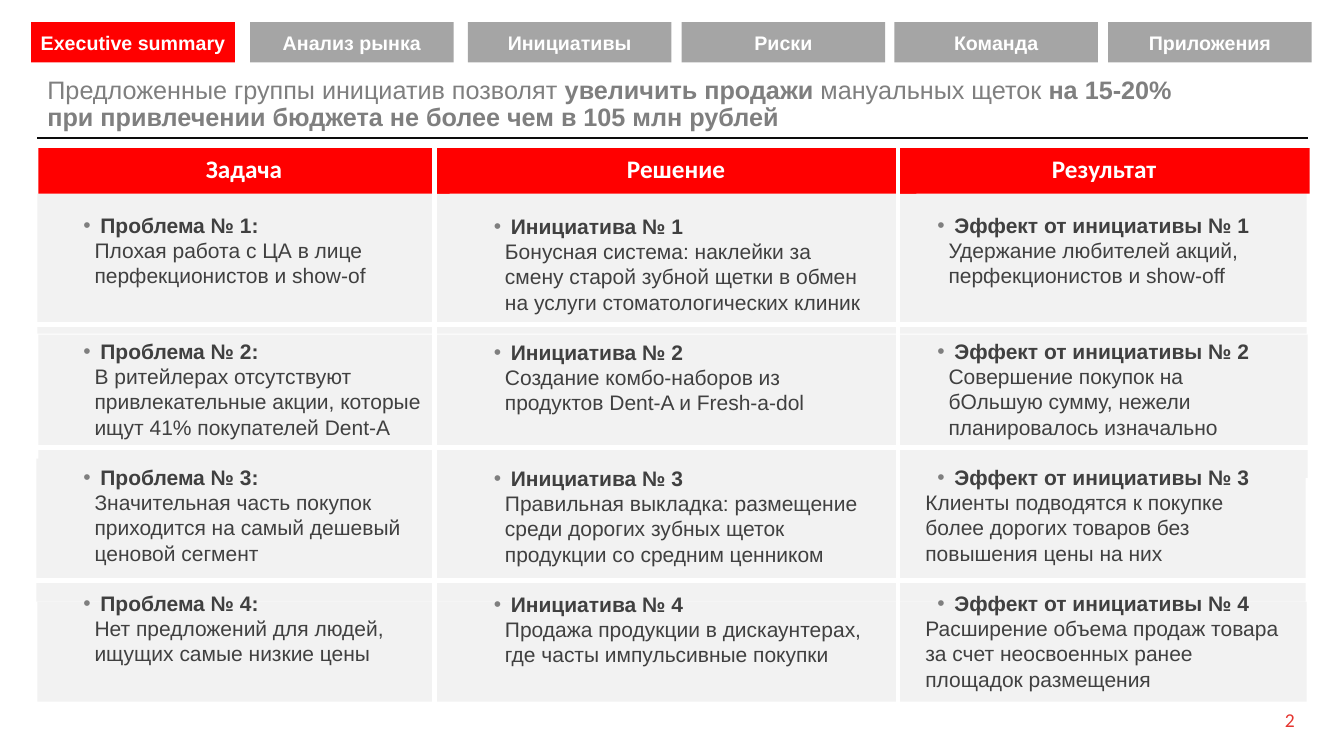
import copy

import pptx
import pptx.dml.color
import pptx.enum.shapes
import pptx.enum.text
import pptx.oxml.ns
import pptx.util
from lxml import etree

Inches = pptx.util.Inches
Pt = pptx.util.Pt
RGBColor = pptx.dml.color.RGBColor
ALIGN = pptx.enum.text.PP_ALIGN
ANCHOR = pptx.enum.text.MSO_ANCHOR
qn = pptx.oxml.ns.qn

RED = RGBColor(0xFF, 0x00, 0x00)
NUMBER_RED = RGBColor(0xE5, 0x35, 0x30)
TAB_GRAY = RGBColor(0xA5, 0xA5, 0xA5)
ROW_GRAY = RGBColor(0xF2, 0xF2, 0xF2)
TITLE_GRAY = RGBColor(0x7F, 0x7F, 0x7F)
BODY_GRAY = RGBColor(0x40, 0x40, 0x40)
BLACK = RGBColor(0x0C, 0x0C, 0x0C)
WHITE = RGBColor(0xFF, 0xFF, 0xFF)

LINE_PT = 18
LINES_PER_ROW = 5

TABS = [
    (0.31, "Executive summary"), (2.48, "Анализ рынка"), (4.64, "Инициативы"),
    (6.76, "Риски"), (8.87, "Команда"), (10.99, "Приложения"),
]
HEADERS = [(0.38, 4.08, "Задача"), (4.32, 4.77, "Решение"), (8.91, 4.08, "Результат")]
ROWS = [(0.37, 1.92, 1.39), (0.38, 3.32, 1.42), (0.36, 4.55, 1.42), (0.37, 5.97, 0.99)]
DIVIDERS = [
    (4.31, 1.47, 4.31, 7.25), (8.91, 1.47, 8.91, 7.25),
    (0.18, 3.22, 13.11, 3.22), (0.05, 4.44, 12.97, 4.44), (0.22, 5.76, 13.14, 5.76),
]

# Each entry: heading, body, number of body lines, body hangs under the heading
PROBLEMS = [
    ("Проблема № 1:", "Плохая работа с ЦА в лице перфекционистов и show-of", 2, True),
    ("Проблема № 2:", "В ритейлерах отсутствуют привлекательные акции, которые "
     "ищут 41% покупателей Dent-A", 3, True),
    ("Проблема № 3:", "Значительная часть покупок приходится на самый дешевый "
     "ценовой сегмент", 3, True),
    ("Проблема № 4:", "Нет предложений для людей, ищущих самые низкие цены", 2, True),
]
INITIATIVES = [
    ("Инициатива № 1", "Бонусная система: наклейки за смену старой зубной щетки "
     "в обмен на услуги стоматологических клиник", 3, True),
    ("Инициатива № 2", "Создание комбо-наборов из продуктов Dent-A и Fresh-a-dol", 2, True),
    ("Инициатива № 3", "Правильная выкладка: размещение среди дорогих зубных щеток "
     "продукции со средним ценником", 3, True),
    ("Инициатива № 4", "Продажа продукции в дискаунтерах, где часты импульсивные "
     "покупки", 2, True),
]
EFFECTS = [
    ("Эффект от инициативы № 1", "Удержание любителей акций, перфекционистов и show-off",
     2, True),
    ("Эффект от инициативы № 2", "Совершение покупок на бОльшую сумму, нежели "
     "планировалось изначально", 3, True),
    ("Эффект от инициативы № 3", "Клиенты подводятся к покупке более дорогих товаров "
     "без повышения цены на них", 3, False),
    ("Эффект от инициативы № 4", "Расширение объема продаж товара за счет неосвоенных "
     "ранее площадок размещения", 3, False),
]
COLUMNS = [(0.61, 2.06, 3.73, PROBLEMS), (4.68, 2.07, 4.01, INITIATIVES),
           (9.08, 2.06, 3.73, EFFECTS)]


def write(paragraph, text, *, size=15, color=BODY_GRAY, bold=False, font="Arial"):
    """Append formatted text; each newline becomes a line break of the same size."""
    for index, line in enumerate(text.split("\n")):
        if index:
            paragraph.add_line_break()
            paragraph._p[-1].append(copy.deepcopy(run._r.rPr))
        run = paragraph.add_run()
        run.text = line
        run.font.size = Pt(size)
        run.font.name = font
        run.font.bold = bold
        run.font.color.rgb = color


def set_bullet(paragraph):
    """Give the paragraph a gray bullet and a hanging indent."""
    props = paragraph._p.get_or_add_pPr()
    props.set("marL", str(Inches(0.23)))
    props.set("indent", str(Inches(-0.11)))
    bullet_color = etree.SubElement(props, qn("a:buClr"))
    etree.SubElement(bullet_color, qn("a:srgbClr"), val=str(TITLE_GRAY))
    etree.SubElement(props, qn("a:buFont"), typeface="Arial")
    etree.SubElement(props, qn("a:buChar"), char="•")


class SlideBuilder:
    def __init__(self, slide):
        self.slide = slide
        self.shapes = slide.shapes

    def title(self, left, top, width, height, parts):
        heading = self.shapes.title
        heading.left, heading.top = Inches(left), Inches(top)
        heading.width, heading.height = Inches(width), Inches(height)
        frame = heading.text_frame
        frame.auto_size = pptx.enum.text.MSO_AUTO_SIZE.NONE
        frame.word_wrap = True
        frame.vertical_anchor = ANCHOR.BOTTOM
        paragraph = frame.paragraphs[0]
        paragraph.alignment = ALIGN.LEFT
        paragraph.line_spacing = 0.9
        for text, bold in parts:
            write(paragraph, text, size=18, color=TITLE_GRAY, bold=bold)

    def block(self, left, top, width, height, fill, text="", side_inset=0.1,
              anchor=ANCHOR.TOP, **style):
        rect = self.shapes.add_shape(
            pptx.enum.shapes.MSO_SHAPE.RECTANGLE,
            Inches(left), Inches(top), Inches(width), Inches(height))
        rect.shadow.inherit = False
        rect.fill.solid()
        rect.fill.fore_color.rgb = fill
        rect.line.fill.background()
        if text:
            frame = rect.text_frame
            frame.margin_left = frame.margin_right = Inches(side_inset)
            frame.vertical_anchor = anchor
            frame.paragraphs[0].alignment = ALIGN.CENTER
            write(frame.paragraphs[0], text, color=WHITE, bold=True, **style)

    def text_box(self, left, top, width, height):
        frame = self.shapes.add_textbox(
            Inches(left), Inches(top), Inches(width), Inches(height)).text_frame
        frame.word_wrap = True
        return frame

    def column(self, left, top, width, entries):
        frame = self.text_box(left, top, width, 5.2)
        gap = 0
        for index, (heading, body, body_lines, hanging) in enumerate(entries):
            paragraph = frame.add_paragraph() if index else frame.paragraphs[0]
            paragraph.line_spacing = Pt(LINE_PT)
            paragraph.space_before = Pt(gap)
            set_bullet(paragraph)
            write(paragraph, " " + heading + ("\n" if hanging else ""), bold=True)
            if not hanging:
                paragraph = frame.add_paragraph()
                paragraph.line_spacing = Pt(LINE_PT)
            write(paragraph, body)
            gap = (LINES_PER_ROW - 1 - body_lines) * LINE_PT

    def rule(self, x1, y1, x2, y2, color, weight):
        line = self.shapes.add_connector(
            pptx.enum.shapes.MSO_CONNECTOR.STRAIGHT,
            Inches(x1), Inches(y1), Inches(x2), Inches(y2))
        line.line.color.rgb = color
        line.line.width = Pt(weight)
        etree.SubElement(line._element.spPr, qn("a:effectLst"))

    def page_number(self, left, top, width, height, number):
        frame = self.text_box(left, top, width, height)
        frame.vertical_anchor = ANCHOR.MIDDLE
        frame.paragraphs[0].alignment = ALIGN.RIGHT
        write(frame.paragraphs[0], number, size=14, color=NUMBER_RED, font="Calibri")


def main():
    deck = pptx.Presentation()
    deck.slide_width, deck.slide_height = Inches(13.33), Inches(7.5)
    summary = SlideBuilder(deck.slides.add_slide(deck.slide_layouts[5]))

    summary.rule(0.37, 1.37, 12.97, 1.37, BLACK, 2)
    summary.title(0.37, 0.63, 12.6, 0.73, [
        ("Предложенные группы инициатив позволят ", False),
        ("увеличить продажи", True),
        (" мануальных щеток ", False),
        ("на 15-20%\nпри привлечении бюджета не более чем в 105 млн рублей", True),
    ])
    for index, (left, label) in enumerate(TABS):
        summary.block(left, 0.22, 2.02, 0.4, TAB_GRAY if index else RED, label,
                      side_inset=0, anchor=ANCHOR.MIDDLE, size=14)
    for left, top, height in ROWS:
        summary.block(left, top, 12.59, height, ROW_GRAY)
    for left, width, label in HEADERS:
        summary.block(left, 1.47, width, 0.45, RED, label, size=18, font="Calibri")
    for column in COLUMNS:
        summary.column(*column)
    for ends in DIVIDERS:
        summary.rule(*ends, WHITE, 3)
    summary.page_number(12.28, 6.98, 0.66, 0.31, "2")

    deck.save("out.pptx")


if __name__ == "__main__":
    main()
